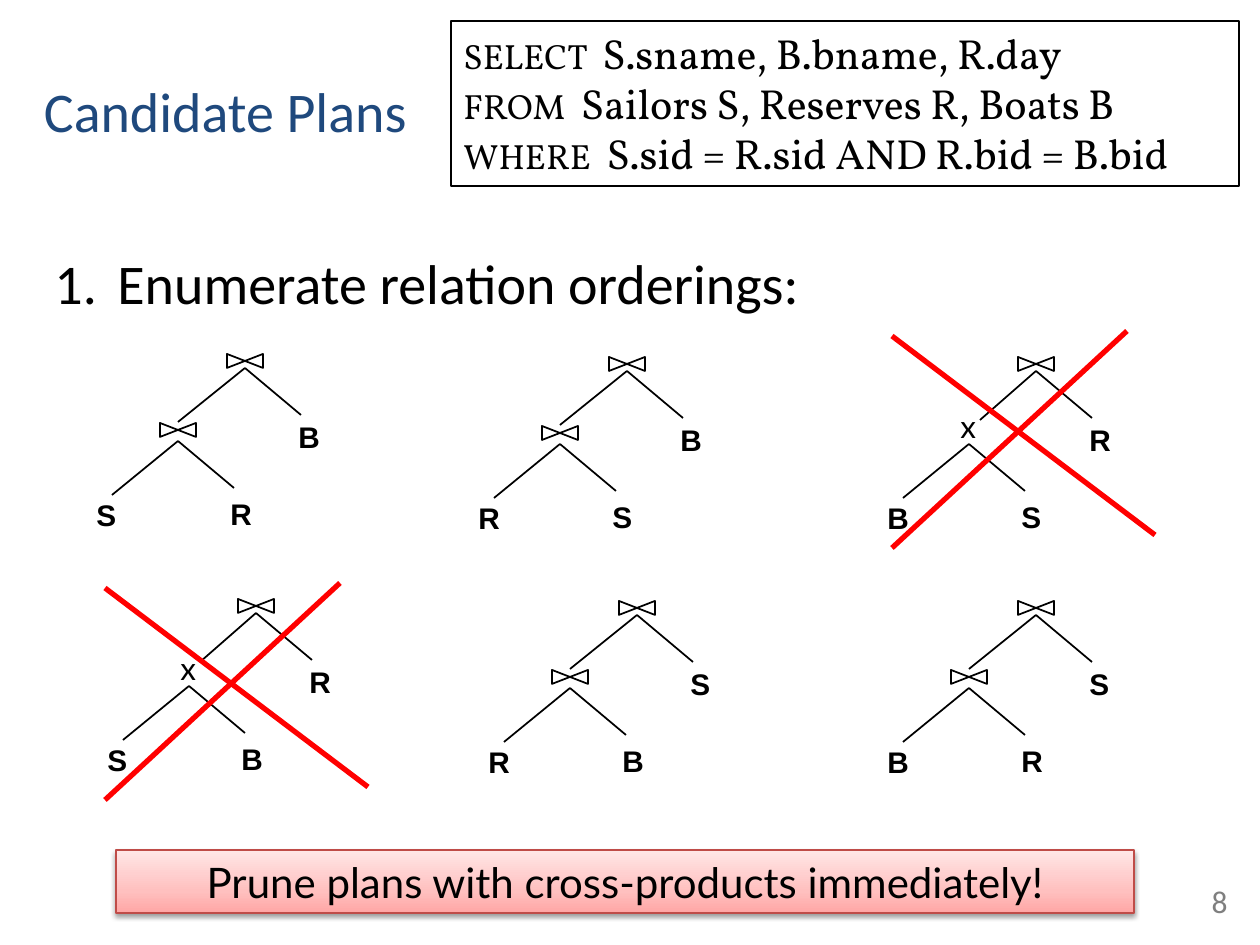
"""Build the slide on candidate join plans."""
import dataclasses
import typing

import lxml.etree
import pptx
import pptx.dml.color
import pptx.enum.shapes
import pptx.enum.text
import pptx.oxml
import pptx.oxml.ns
import pptx.util

SCALE = 914400 / 126
COLORS = {"ink": "000000", "title": "1F497D", "cross": "FF0000",
          "edge": "BF4C48", "number": "7F7F7F"}
STOPS = ((0, "FFA6A5"), (35, "FFC0BF"), (100, "FFE7E7"))
ALIGN = pptx.enum.text.PP_ALIGN
ANCHOR = pptx.enum.text.MSO_ANCHOR


@dataclasses.dataclass
class Plan:
    x: int
    y: int
    left: str
    inner: str
    right: str
    cross: typing.Optional[tuple[int, int]] = None


PLANS = (
    Plan(245, 354, "S", "R", "B"),
    Plan(627, 357, "R", "S", "B"),
    Plan(1036, 357, "B", "S", "R", (892, 336)),
    Plan(256, 599, "S", "B", "R", (105, 588)),
    Plan(637, 601, "R", "B", "S"),
    Plan(1036, 601, "B", "R", "S"),
)
QUERY = (
    ("SELECT ", " S.sname, B.bname, R.day"),
    ("FROM ", " Sailors S, Reserves R, Boats B"),
    ("WHERE ", " S.sid = R.sid AND R.bid = B.bid"),
)


def px(size: float) -> int:
    return round(size * SCALE)


def rgb(name: str) -> pptx.dml.color.RGBColor:
    return pptx.dml.color.RGBColor.from_string(COLORS[name])


def style(run, size: float, font: str, color: str = "ink", bold: bool = False) -> None:
    run.font.size = pptx.util.Pt(size)
    run.font.name = font
    run.font.bold = bold
    run.font.color.rgb = rgb(color)


def write(shape, text: str, size: float, font: str, color: str = "ink",
          bold: bool = False, align=ALIGN.LEFT, anchor=ANCHOR.TOP, wrap: bool = True):
    frame = shape.text_frame
    frame.text = text
    frame.word_wrap = wrap
    frame.vertical_anchor = anchor
    para = frame.paragraphs[0]
    para.alignment = align
    style(para.runs[0], size, font, color, bold)
    return para


def add_box(slide, x: int, y: int, wide: int, high: int):
    return slide.shapes.add_textbox(px(x), px(y), px(wide), px(high))


def add_rect(slide, x: int, y: int, wide: int, high: int, color: str, width: float):
    kind = pptx.enum.shapes.MSO_SHAPE.RECTANGLE
    rect = slide.shapes.add_shape(kind, px(x), px(y), px(wide), px(high))
    rect.shadow.inherit = False
    rect.fill.background()
    rect.line.color.rgb = rgb(color)
    rect.line.width = pptx.util.Pt(width)
    return rect


def add_line(slide, x1: int, y1: int, x2: int, y2: int,
             color: str = "ink", width: float = 1) -> None:
    kind = pptx.enum.shapes.MSO_CONNECTOR.STRAIGHT
    line = slide.shapes.add_connector(kind, px(x1), px(y1), px(x2), px(y2))
    line.line.color.rgb = rgb(color)
    line.line.width = pptx.util.Pt(width)
    lxml.etree.SubElement(line._element.spPr, pptx.oxml.ns.qn("a:effectLst"))


def add_join(slide, x: int, y: int) -> None:
    form = slide.shapes.build_freeform(x - 18, y, SCALE)
    form.add_line_segments(((x + 18, y + 14), (x + 18, y), (x - 18, y + 14)), close=True)
    join = form.convert_to_shape()
    join.shadow.inherit = False
    join.fill.background()
    join.line.color.rgb = rgb("ink")
    join.line.width = pptx.util.Pt(1)


def add_plan(slide, plan: Plan) -> None:
    x, y = plan.x, plan.y
    add_join(slide, x, y)
    if plan.cross:
        product = add_box(slide, x - 88, y + 44, 40, 50)
        write(product, "x", 18, "Lato", wrap=False)
        low = (-56, 63)
    else:
        add_join(slide, x - 67, y + 69)
        low = (-67, 68)
    edges = ((*low, 0, 14), (0, 14, 56, 61),
             (-133, 141, -67, 87), (-67, 87, -11, 134))
    for x1, y1, x2, y2 in edges:
        add_line(slide, x + x1, y + y1, x + x2, y + y2)
    leaves = ((plan.left, -161, 137), (plan.inner, -27, 136), (plan.right, 41, 59))
    for name, dx, dy in leaves:
        leaf = add_box(slide, x + dx, y + dy, 46, 48)
        write(leaf, name, 17, "Arial", bold=True, wrap=False)
    if plan.cross:
        x, y = plan.cross
        add_line(slide, x, y, x + 263, y + 199, "cross", 3)
        add_line(slide, x, y + 212, x + 235, y - 5, "cross", 3)


def add_query(slide) -> None:
    frame = add_rect(slide, 451, 21, 788, 165, "ink", 1).text_frame
    frame.word_wrap = True
    frame.vertical_anchor = ANCHOR.TOP
    for row, (key, rest) in enumerate(QUERY):
        para = frame.add_paragraph() if row else frame.paragraphs[0]
        para.alignment = ALIGN.LEFT
        for text, size in ((key, 20), (rest, 24)):
            run = para.add_run()
            run.text = text
            style(run, size, "Vollkorn")


def add_banner(slide) -> None:
    rect = add_rect(slide, 116, 850, 1018, 63, "edge", 0.75)
    write(rect, "Prune plans with cross-products immediately!", 24, "Lato",
          align=ALIGN.CENTER, anchor=ANCHOR.MIDDLE)
    space = pptx.oxml.ns.nsdecls("a")
    stops = "".join(f'<a:gs pos="{pos * 1000}"><a:srgbClr val="{color}"/></a:gs>'
                    for pos, color in STOPS)
    props = rect._element.spPr
    props.replace(props.find(pptx.oxml.ns.qn("a:noFill")), pptx.oxml.parse_xml(
        f'<a:gradFill {space} rotWithShape="1"><a:gsLst>{stops}</a:gsLst>'
        '<a:lin ang="16200000" scaled="0"/></a:gradFill>'))
    props.find(pptx.oxml.ns.qn("a:effectLst")).append(pptx.oxml.parse_xml(
        f'<a:outerShdw {space} blurRad="{pptx.util.Pt(3.1)}" dist="{pptx.util.Pt(1.6)}"'
        ' dir="5400000" rotWithShape="0"><a:srgbClr val="000000">'
        '<a:alpha val="38000"/></a:srgbClr></a:outerShdw>'))


def add_step(slide) -> None:
    box = add_box(slide, 42, 242, 1165, 116)
    para = write(box, "Enumerate relation orderings:", 32, "Calibri")
    props = para._p.get_or_add_pPr()
    props.set("marL", str(px(63)))
    props.set("indent", str(px(-63)))
    mark = lxml.etree.SubElement(props, pptx.oxml.ns.qn("a:buAutoNum"))
    mark.set("type", "arabicPeriod")


def main() -> None:
    deck = pptx.Presentation()
    deck.slide_width, deck.slide_height = px(1260), px(945)
    slide = deck.slides.add_slide(deck.slide_layouts[5])
    title = slide.shapes.title
    title.left, title.top, title.width, title.height = px(10), px(10), px(431), px(136)
    write(title, "Candidate Plans", 32, "Calibri", "title",
          align=ALIGN.CENTER, anchor=ANCHOR.BOTTOM)
    title.text_frame.margin_bottom = px(2)
    add_step(slide)
    add_query(slide)
    for plan in PLANS:
        add_plan(slide, plan)
    add_banner(slide)
    number = add_box(slide, 903, 861, 337, 65)
    write(number, "8", 18, "Calibri", "number", align=ALIGN.RIGHT, anchor=ANCHOR.BOTTOM)
    deck.save("out.pptx")


main()
